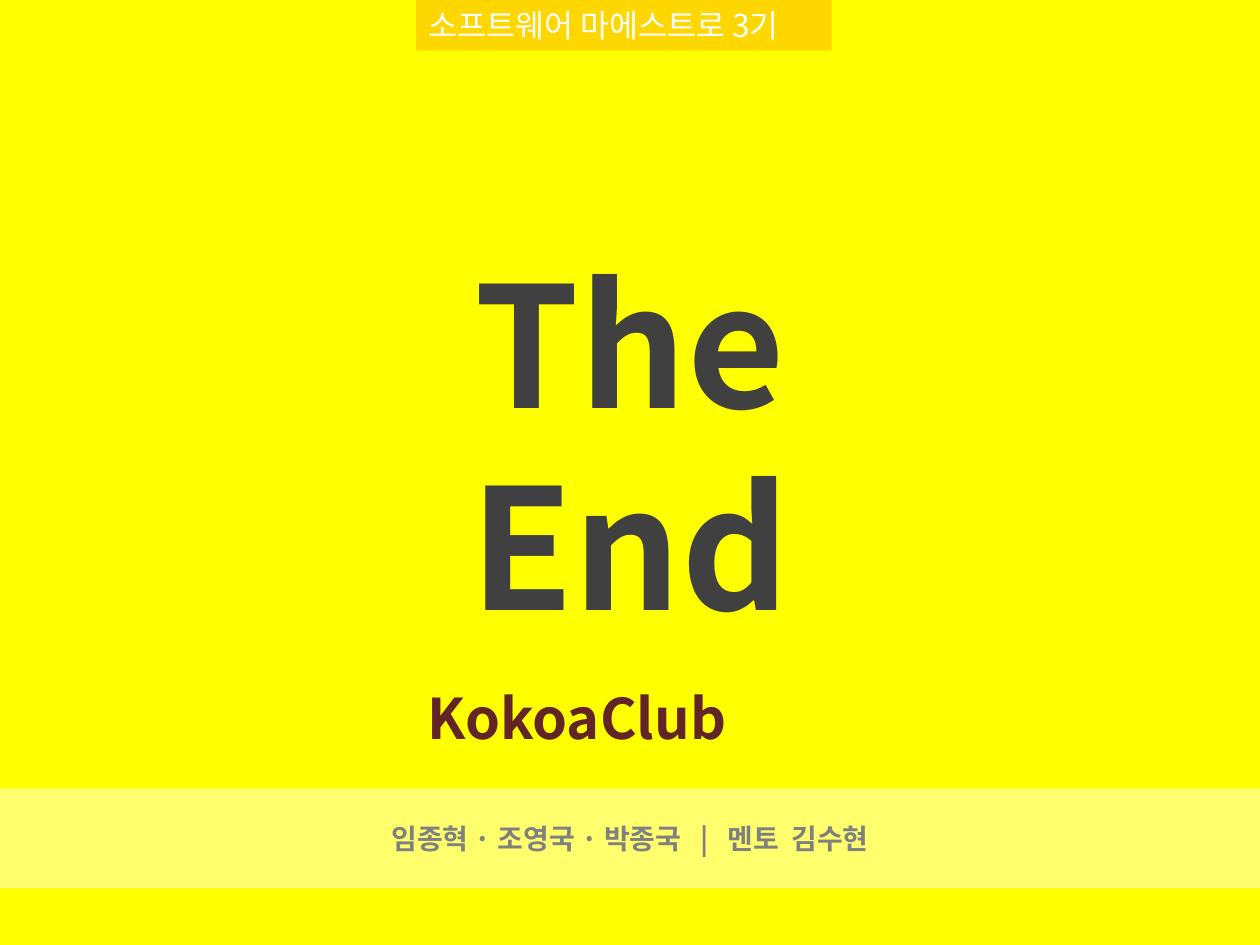
from pptx import Presentation
from pptx.dml.color import RGBColor
from pptx.enum import shapes, text
from pptx.oxml import parse_xml
from pptx.oxml.ns import nsdecls
from pptx.util import Inches, Pt

FONT = "Noto Sans CJK KR"


def color(hex_value):
    """Turn a hex string into a colour."""
    return RGBColor.from_string(hex_value)


def write(shape, words, size, hex_value, bold=True, align=text.PP_ALIGN.CENTER,
          anchor=text.MSO_ANCHOR.MIDDLE, wrap=True):
    """Put one formatted paragraph into a shape."""
    frame = shape.text_frame
    frame.word_wrap = wrap
    frame.vertical_anchor = anchor
    frame.text = words
    paragraph = frame.paragraphs[0]
    paragraph.alignment = align
    for run in paragraph.runs:
        font = run.font
        font.name, font.size, font.bold = FONT, Pt(size), bold
        font.color.rgb = color(hex_value)
        run._r.get_or_add_rPr().append(
            parse_xml(f'<a:ea {nsdecls("a")} typeface="{FONT}"/>'))


def add_band(slide, box, hex_value, opacity):
    """Add a borderless translucent rectangle."""
    band = slide.shapes.add_shape(shapes.MSO_SHAPE.RECTANGLE, *map(Inches, box))
    band.shadow.inherit = False
    band.line.fill.background()
    band.fill.solid()
    band.fill.fore_color.rgb = color(hex_value)
    band.fill._xPr.solidFill[0].append(
        parse_xml(f'<a:alpha {nsdecls("a")} val="{opacity * 1000}"/>'))
    return band


def add_header(slide, box):
    """Add the programme label at the top."""
    write(add_band(slide, box, "FFC000", 62), "소프트웨어 마에스트로 3기", 18, "FFFFFF",
          bold=False, align=text.PP_ALIGN.LEFT, anchor=text.MSO_ANCHOR.TOP, wrap=False)


def add_closing(slide, box):
    """Place the closing words in the title placeholder."""
    title = slide.shapes.title
    title.left, title.top, title.width, title.height = map(Inches, box)
    write(title, "The End", 96, "404040", anchor=text.MSO_ANCHOR.TOP)
    title.text_frame.auto_size = text.MSO_AUTO_SIZE.SHAPE_TO_FIT_TEXT


def add_club_name(slide, box):
    """Add the club name."""
    write(slide.shapes.add_textbox(*map(Inches, box)), "KokoaClub", 32, "632523")


def add_members(slide, box):
    """Add the band with the team and its mentor."""
    write(add_band(slide, box, "FFFFFF", 43),
          "임종혁 · 조영국 · 박종국   |   멘토  김수현", 16, "808080")


def main():
    """Build the closing slide."""
    presentation = Presentation()
    presentation.slide_width, presentation.slide_height = Inches(10), Inches(7.5)
    slide = presentation.slides.add_slide(presentation.slide_layouts[5])
    slide.background.fill.solid()
    slide.background.fill.fore_color.rgb = color("FFFF00")
    add_club_name(slide, (0.33, 4.89, 8.5, 1.61))
    add_members(slide, (0, 6.26, 10, 0.79))
    add_header(slide, (3.3, 0, 3.3, 0.4))
    add_closing(slide, (2.3, 1.86, 5.4, 1.72))
    presentation.save("out.pptx")


if __name__ == "__main__":
    main()
